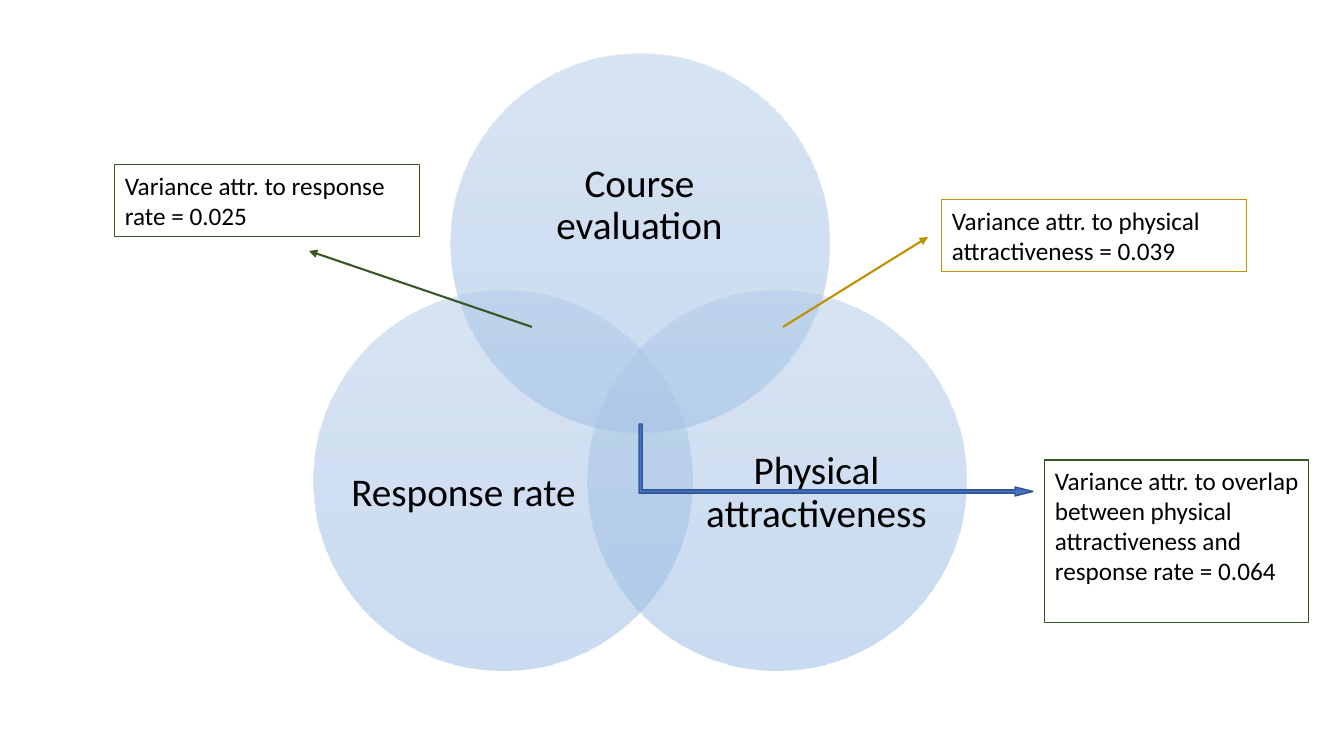
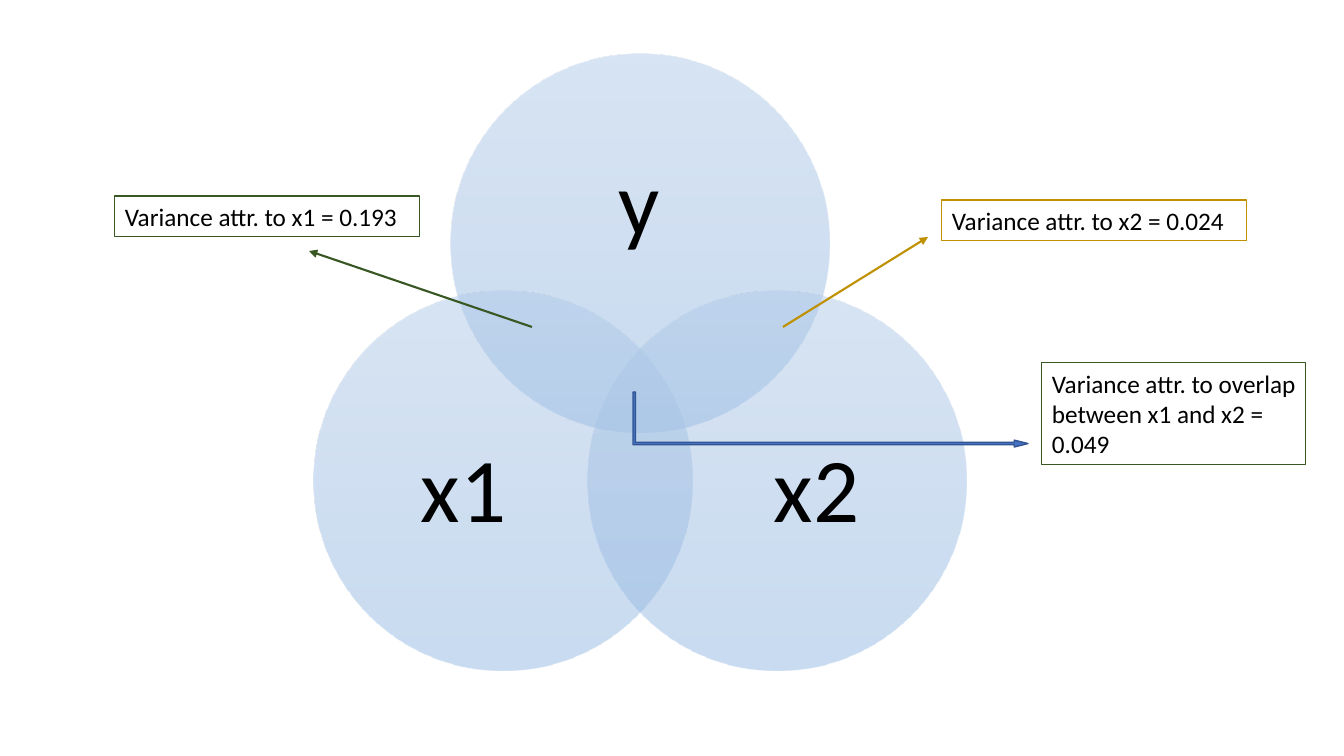
from dataclasses import dataclass
from lxml.etree import SubElement
from pptx import Presentation
from pptx.dml.color import RGBColor
from pptx.enum.shapes import MSO_CONNECTOR, MSO_SHAPE
from pptx.enum.text import MSO_ANCHOR, MSO_AUTO_SIZE, PP_ALIGN
from pptx.oxml.ns import qn
from pptx.util import Pt


@dataclass(frozen=True)
class Theme:
    font: str = "Calibri"
    ink: str = "000000"
    green: str = "385723"
    amber: str = "BF9000"
    blue: str = "4472C4"
    blue_edge: str = "325491"
    circle: tuple = ((0, "B1CBE9"), (50, "A3C1E5"), (100, "93B9E4"))
    circle_alpha: int = 50
    note_size: int = 18
    note_line: float = 0.75
    arrow_line: float = 1.5
    elbow_line: float = 1


T = Theme()
SCALE = 914400 / 100.8
SLIDE_W, SLIDE_H = 1344, 756

SLIDES = [
    {
        "labels": ("Course evaluation", "Physical attractiveness", "Response rate"),
        "label_size": 28,
        "notes": [
            ("Variance attr. to physical attractiveness = 0.039", T.amber, (942, 200, 305, 72)),
            ("Variance attr. to response rate = 0.025", T.green, (115, 165, 305, 72)),
            ("Variance attr. to overlap between physical attractiveness and response rate = 0.064",
             T.green, (1045, 460, 264, 163)),
        ],
        "elbow": (639, 424, 394, 72),
    },
    {
        "labels": ("y", "x2", "x1"),
        "label_size": 65,
        "notes": [
            ("Variance attr. to x2 = 0.024", T.amber, (942, 200, 305, 41)),
            ("Variance attr. to x1 = 0.193", T.green, (115, 196, 305, 41)),
            ("Variance attr. to overlap between x1 and x2 = 0.049", T.green, (1042, 363, 264, 102)),
        ],
        "elbow": (633, 392, 395, 55),
    },
]

DIAMETER = 379
CENTER_X, TOP_Y, LOWER_Y = 640, 54, 291
SPREAD = 137
CIRCLES = [(CENTER_X, TOP_Y), (CENTER_X + SPREAD, LOWER_Y), (CENTER_X - SPREAD, LOWER_Y)]
LABEL_BOXES = [(501, 121, 277, 170), (703, 389, 227, 209), (350, 389, 227, 209)]
ARROWS = [
    ((783, 327), (928, 237), T.amber),
    ((532, 327), (309, 251), T.green),
]
ELBOW_ADJ = (0.045, 0.062, 0.25)


def px(*values):
    return [round(v * SCALE) for v in values]


def rgb(code):
    return RGBColor.from_string(code)


def set_line(line, color, width):
    line.color.rgb = rgb(color)
    line.width = Pt(width)


def add_text(slide, text, box, size):
    s = slide.shapes.add_textbox(*px(*box))
    tf = s.text_frame
    tf.word_wrap = True
    p = tf.paragraphs[0]
    p.text = text
    p.font.name = T.font
    p.font.size = Pt(size)
    p.font.color.rgb = rgb(T.ink)
    return s


def add_circle(slide, center_x, top):
    s = slide.shapes.add_shape(
        MSO_SHAPE.OVAL, *px(center_x - DIAMETER / 2, top, DIAMETER, DIAMETER))
    s.shadow.inherit = False
    s.line.fill.background()
    s.fill.gradient()
    s.fill.gradient_angle = 270
    stops = s._element.spPr.find(qn("a:gradFill")).find(qn("a:gsLst"))
    for stop in list(stops):
        stops.remove(stop)
    for pos, code in T.circle:
        stop = SubElement(stops, qn("a:gs"), pos=str(pos * 1000))
        color = SubElement(stop, qn("a:srgbClr"), val=code)
        SubElement(color, qn("a:alpha"), val=str(T.circle_alpha * 1000))


def add_label(slide, text, box, size):
    tf = add_text(slide, text, box, size).text_frame
    tf.margin_left = tf.margin_right = tf.margin_top = tf.margin_bottom = 0
    tf.vertical_anchor = MSO_ANCHOR.MIDDLE
    p = tf.paragraphs[0]
    p.alignment = PP_ALIGN.CENTER
    p.line_spacing = 0.9


def add_note(slide, text, color, box):
    s = add_text(slide, text, box, T.note_size)
    s.text_frame.auto_size = MSO_AUTO_SIZE.SHAPE_TO_FIT_TEXT
    set_line(s.line, color, T.note_line)


def add_arrow(slide, start, end, color):
    s = slide.shapes.add_connector(MSO_CONNECTOR.STRAIGHT, *px(*start, *end))
    set_line(s.line, color, T.arrow_line)
    SubElement(s.line._get_or_add_ln(), qn("a:tailEnd"), type="triangle")
    SubElement(s._element.spPr, qn("a:effectLst"))


def add_elbow(slide, x, y, w, h):
    left, top = x + (w - h) / 2, y + (h - w) / 2
    s = slide.shapes.add_shape(MSO_SHAPE.BENT_UP_ARROW, *px(left, top, h, w))
    s.rotation = 90
    for i, value in enumerate(ELBOW_ADJ):
        s.adjustments[i] = value
    s.shadow.inherit = False
    s.fill.solid()
    s.fill.fore_color.rgb = rgb(T.blue)
    set_line(s.line, T.blue_edge, T.elbow_line)


prs = Presentation()
prs.slide_width, prs.slide_height = px(SLIDE_W, SLIDE_H)
for content in SLIDES:
    slide = prs.slides.add_slide(prs.slide_layouts[6])
    for circle, text, box in zip(CIRCLES, content["labels"], LABEL_BOXES):
        add_circle(slide, *circle)
        add_label(slide, text, box, content["label_size"])
    for arrow in ARROWS:
        add_arrow(slide, *arrow)
    add_elbow(slide, *content["elbow"])
    for note in content["notes"]:
        add_note(slide, *note)
prs.save("out.pptx")
